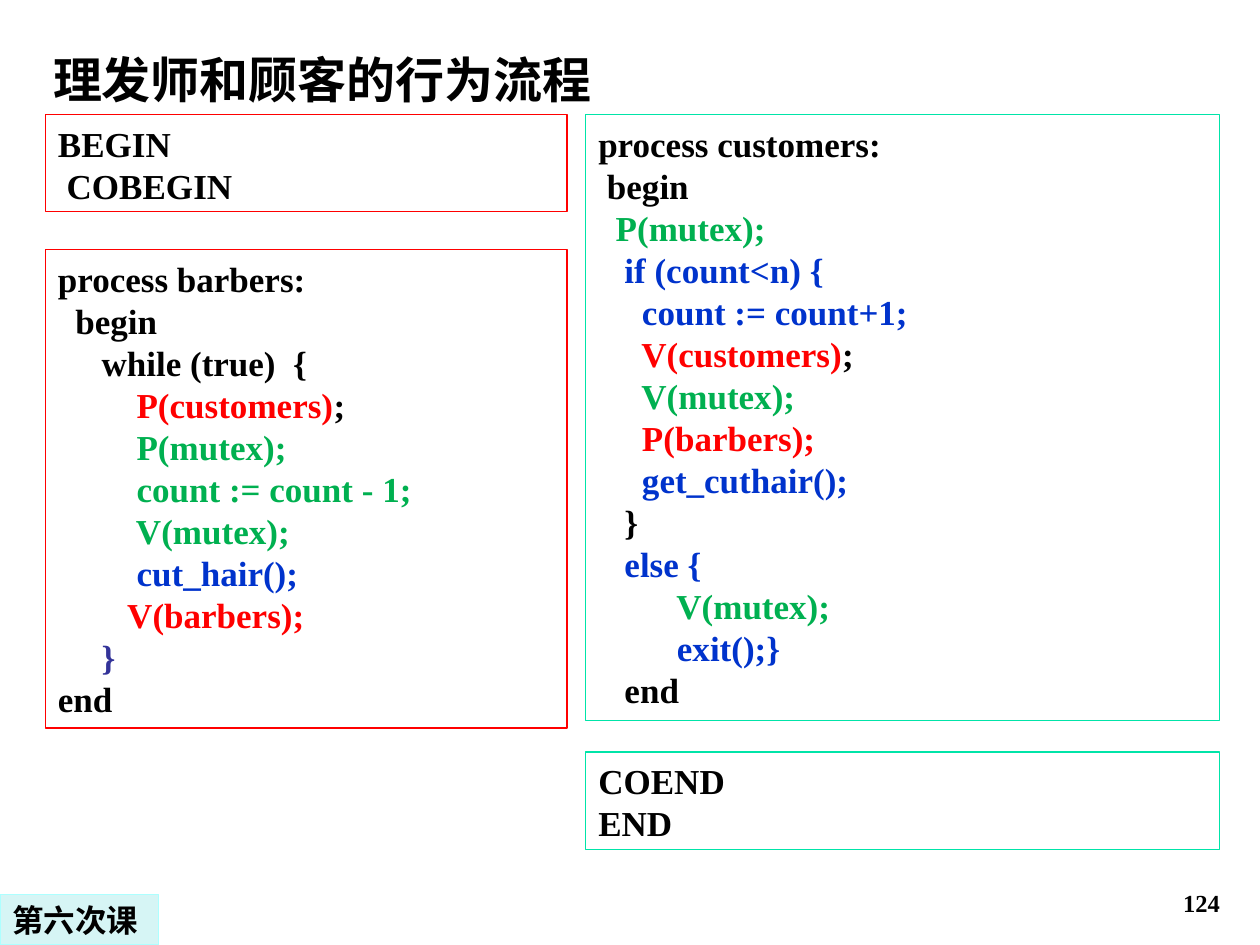
"""Build the slide on the barber and customer process flow."""
import pptx
import pptx.dml.color
import pptx.enum.shapes
import pptx.enum.text
import pptx.util

Pt = pptx.util.Pt
RGBColor = pptx.dml.color.RGBColor
ALIGN = pptx.enum.text.PP_ALIGN
ANCHOR = pptx.enum.text.MSO_ANCHOR

BLACK = RGBColor(0x00, 0x00, 0x00)
RED = RGBColor(0xFF, 0x00, 0x00)
GREEN = RGBColor(0x00, 0xB0, 0x50)
BLUE = RGBColor(0x00, 0x33, 0xCC)
INDIGO = RGBColor(0x33, 0x33, 0x99)
TEAL = RGBColor(0x00, 0xE4, 0xA8)
PALE_CYAN = RGBColor(0xD6, 0xF5, 0xF5)
LIGHT_CYAN = RGBColor(0xAD, 0xFF, 0xFF)

SERIF = "Times New Roman"
CODE_SPACING = Pt(24)


def write_line(paragraph, runs, size, font_name=SERIF, **layout):
    for key, value in layout.items():
        setattr(paragraph, key, value)
    for text, color in runs:
        run = paragraph.add_run()
        run.text = text
        for key, value in {"name": font_name, "size": Pt(size), "bold": True}.items():
            setattr(run.font, key, value)
        run.font.color.rgb = color


def add_panel(left, top, width, height, border):
    panel = slide.shapes.add_shape(
        pptx.enum.shapes.MSO_SHAPE.RECTANGLE, Pt(left), Pt(top), Pt(width), Pt(height)
    )
    panel.shadow.inherit = False
    panel.fill.background()
    panel.line.color.rgb = border
    panel.line.width = Pt(0.75)
    panel.text_frame.vertical_anchor = ANCHOR.TOP
    return panel


presentation = pptx.Presentation()
presentation.slide_width = Pt(720)
presentation.slide_height = Pt(540)
slide = presentation.slides.add_slide(presentation.slide_layouts[5])

heading = slide.shapes.title
heading_place = {"left": Pt(26), "top": Pt(24.5), "width": Pt(672), "height": Pt(41)}
for key, value in heading_place.items():
    setattr(heading, key, value)
heading_format = {
    "margin_left": Pt(4.3),
    "margin_right": Pt(4.3),
    "word_wrap": True,
    "auto_size": pptx.enum.text.MSO_AUTO_SIZE.NONE,
    "vertical_anchor": ANCHOR.MIDDLE,
}
for key, value in heading_format.items():
    setattr(heading.text_frame, key, value)
write_line(
    heading.text_frame.paragraphs[0], [("理发师和顾客的行为流程", BLACK)], 28, alignment=ALIGN.LEFT
)

opening = [[("BEGIN", BLACK)], [(" COBEGIN", BLACK)]]
barbers = [
    [("process barbers:", BLACK)],
    [("  begin", BLACK)],
    [("     while (true)  {", BLACK)],
    [("         P(customers)", RED), (";", BLACK)],
    [("         P(mutex);", GREEN)],
    [("         count := count - 1;", GREEN)],
    [("         V(mutex);", GREEN)],
    [("         cut_hair();", BLUE)],
    [("        V(barbers);", RED)],
    [("     }", INDIGO)],
    [("end", BLACK)],
]
customers = [
    [("process customers:", BLACK)],
    [(" begin", BLACK)],
    [("  P(mutex);", GREEN)],
    [("   if (count<n) {", BLUE)],
    [("     count := count+1;", BLUE)],
    [("     V(customers)", RED), (";", BLACK)],
    [("     V(mutex);", GREEN)],
    [("     P(barbers);", RED)],
    [("     get_cuthair();", BLUE)],
    [("   }", BLACK)],
    [("   else {", BLUE)],
    [("         V(mutex);", GREEN)],
    [("         exit();}", BLUE)],
    [("   end", BLACK)],
]
closing = [[("COEND", BLACK)], [("END", BLACK)]]

left_column = (26, 298, RED)
right_column = (334.8, 362.2, TEAL)
for (left, width, border), top, height, code in [
    (left_column, 65.5, 55.5, opening),
    (left_column, 142.5, 273.6, barbers),
    (right_column, 65.5, 346.3, customers),
    (right_column, 429.8, 55.5, closing),
]:
    frame = add_panel(left, top, width, height, border).text_frame
    frame.margin_top = Pt(4.4)
    for number, runs in enumerate(code):
        paragraph = frame.add_paragraph() if number else frame.paragraphs[0]
        write_line(paragraph, runs, 20, alignment=ALIGN.LEFT, line_spacing=CODE_SPACING)

lesson = add_panel(0, 511.2, 90.7, 28.8, LIGHT_CYAN)
lesson.fill.solid()
lesson.fill.fore_color.rgb = PALE_CYAN
lesson.text_frame.word_wrap = False
lesson.text_frame.vertical_anchor = ANCHOR.MIDDLE
write_line(
    lesson.text_frame.paragraphs[0],
    [("第六次课", BLACK)],
    18,
    "DejaVu Sans",
    alignment=ALIGN.LEFT,
)

page_number = slide.shapes.add_textbox(Pt(554.4), Pt(491.8), Pt(149.8), Pt(36)).text_frame
page_number.word_wrap = True
page_number.vertical_anchor = ANCHOR.BOTTOM
write_line(page_number.paragraphs[0], [("124", BLACK)], 14, alignment=ALIGN.RIGHT)

presentation.save("out.pptx")
